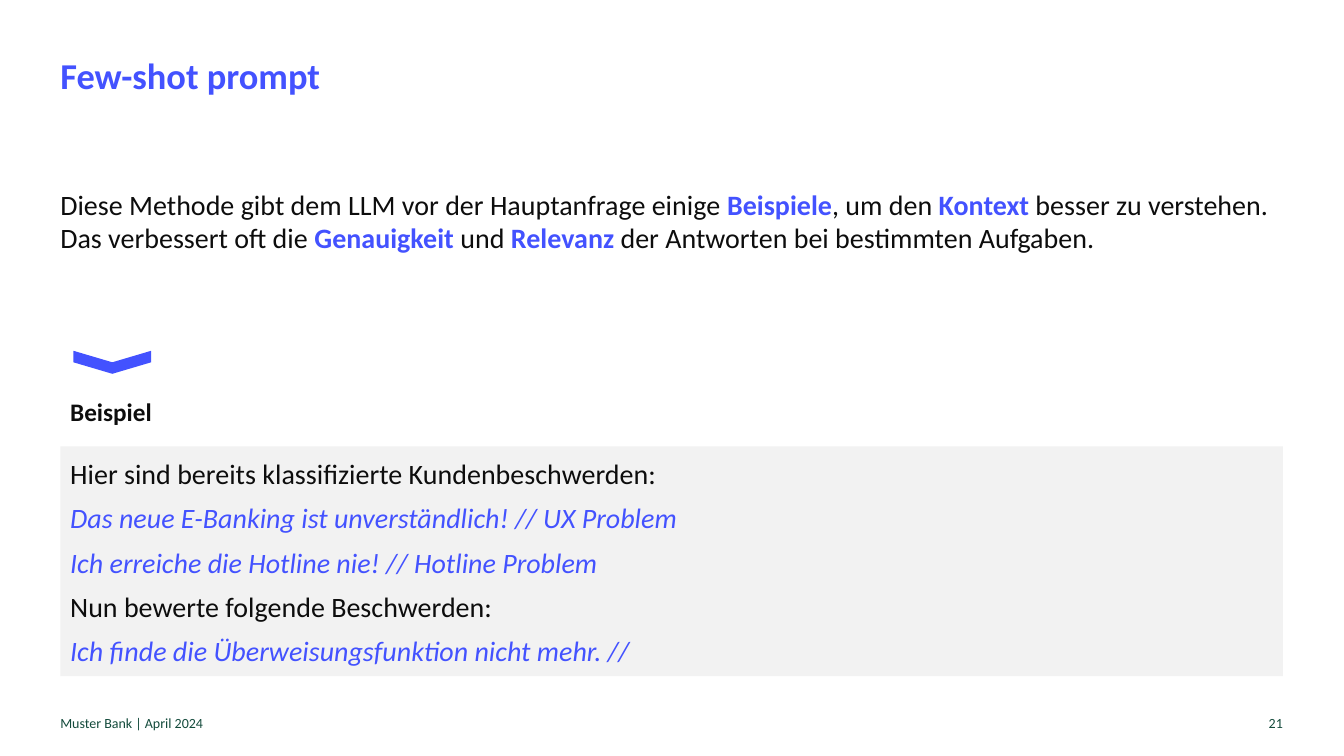
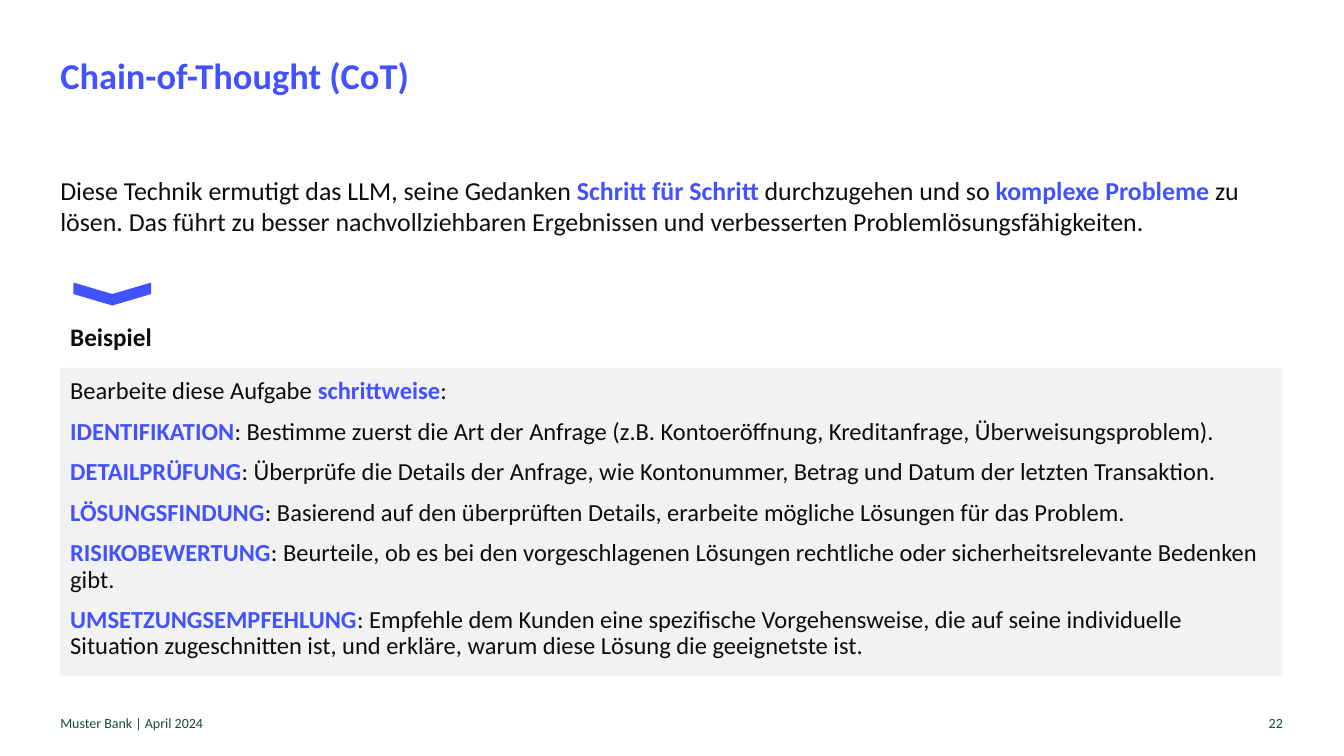
from dataclasses import dataclass

from pptx import Presentation
from pptx.dml.color import RGBColor
from pptx.enum.shapes import MSO_SHAPE as Form
from pptx.enum.text import MSO_ANCHOR as Anchor, MSO_AUTO_SIZE as Fit, PP_ALIGN as Align
from pptx.slide import Slide
from pptx.text.text import TextFrame
from pptx.util import Cm, Pt

BLUE, INK, GREEN, GREY = "4352FF", "0D0D0D", "144B3C", "F2F2F2"
FONT = "Calibri"
LEFT, WIDTH, BASE = 1.52, 30.81, 17.04
FOOTER = "Muster Bank | April 2024"


@dataclass(frozen=True)
class Run:
    text: str
    color: str = INK
    bold: bool = False
    italic: bool = False


Lines = list[list[Run]]


@dataclass(frozen=True)
class Box:
    left: float
    top: float
    width: float
    height: float


@dataclass(frozen=True)
class Style:
    size: float
    pad: bool = False
    lead: float = 1.0
    gap: float = 0
    align: Align = Align.LEFT
    anchor: Anchor = Anchor.TOP


@dataclass(frozen=True)
class Page:
    number: int
    title: str
    intro: list[Run]
    lines: Lines
    intro_top: float
    intro_size: float
    mark_top: float
    label_top: float
    panel_top: float
    text_top: float
    text_size: float


def rgb(color: str) -> RGBColor:
    return RGBColor.from_string(color)


def key(text: str) -> Run:
    return Run(text, BLUE, bold=True)


def quote(text: str) -> list[Run]:
    return [Run(text, BLUE, italic=True)]


def step(name: str, text: str) -> list[Run]:
    return [key(name), Run(f": {text}")]


def place(box: Box) -> tuple[Cm, Cm, Cm, Cm]:
    return Cm(box.left), Cm(box.top), Cm(box.width), Cm(box.height)


def write(frame: TextFrame, lines: Lines, style: Style) -> None:
    frame.word_wrap = True
    frame.auto_size = Fit.NONE
    frame.vertical_anchor = style.anchor
    if not style.pad:
        frame.margin_left = frame.margin_right = 0
        frame.margin_top = frame.margin_bottom = 0
    for index, line in enumerate(lines):
        para = frame.add_paragraph() if index else frame.paragraphs[0]
        para.alignment = style.align
        para.line_spacing = style.lead
        para.space_before = Pt(style.gap if index else 0)
        for item in line:
            run = para.add_run()
            run.text = item.text
            font = run.font
            font.name, font.size = FONT, Pt(style.size)
            font.bold, font.italic = item.bold, item.italic
            font.color.rgb = rgb(item.color)


def add_text(slide: Slide, box: Box, lines: Lines, style: Style) -> None:
    write(slide.shapes.add_textbox(*place(box)).text_frame, lines, style)


def add_form(slide: Slide, form: Form, box: Box, color: str, turn: float = 0) -> None:
    shape = slide.shapes.add_shape(form, *place(box))
    shape.rotation = turn
    shape.shadow.inherit = False
    shape.fill.solid()
    shape.fill.fore_color.rgb = rgb(color)
    shape.line.fill.background()


def add_frame(slide: Slide, page: Page) -> None:
    title = slide.shapes.title
    title.left, title.top, title.width, title.height = place(Box(LEFT, 0, WIDTH, 2.46))
    write(title.text_frame, [[key(page.title)]], Style(26, lead=0.9, anchor=Anchor.BOTTOM))
    add_text(slide, Box(LEFT, 17.99, 19.4, 0.43), [[Run(FOOTER, GREEN)]],
             Style(10, anchor=Anchor.BOTTOM))
    add_text(slide, Box(LEFT + WIDTH - 7.62, 17.99, 7.62, 0.43),
             [[Run(str(page.number), GREEN)]],
             Style(10, align=Align.RIGHT, anchor=Anchor.BOTTOM))


def add_page(deck: Presentation, page: Page) -> None:
    slide = deck.slides.add_slide(deck.slide_layouts[5])
    height = BASE - page.panel_top
    add_form(slide, Form.RECTANGLE, Box(LEFT, page.panel_top, WIDTH, height), GREY)
    add_frame(slide, page)
    add_text(slide, Box(LEFT, page.intro_top, WIDTH, 1.8), [page.intro],
             Style(page.intro_size))
    add_form(slide, Form.CHEVRON, Box(2.54, page.mark_top, 0.58, 1.96), BLUE, 90)
    add_text(slide, Box(LEFT, page.label_top, 9.22, 1.02), [[Run("Beispiel", bold=True)]],
             Style(18, pad=True))
    add_text(slide, Box(LEFT, page.text_top, WIDTH, BASE - page.text_top), page.lines,
             Style(page.text_size, pad=True, lead=0.9, gap=10))


PAGES = [
    Page(
        21, "Few-shot prompt",
        [Run("Diese Methode gibt dem LLM vor der Hauptanfrage einige "), key("Beispiele"),
         Run(", um den "), key("Kontext"),
         Run(" besser zu verstehen. Das verbessert oft die "), key("Genauigkeit"),
         Run(" und "), key("Relevanz"),
         Run(" der Antworten bei bestimmten Aufgaben.")],
        [[Run("Hier sind bereits klassifizierte Kundenbeschwerden:")],
         quote("Das neue E-Banking ist unverständlich! // UX Problem"),
         quote("Ich erreiche die Hotline nie! // Hotline Problem"),
         [Run("Nun bewerte folgende Beschwerden:")],
         quote("Ich finde die Überweisungsfunktion nicht mehr. //")],
        intro_top=4.72, intro_size=20, mark_top=8.15, label_top=9.86,
        panel_top=11.25, text_top=11.48, text_size=20,
    ),
    Page(
        22, "Chain-of-Thought (CoT)",
        [Run("Diese Technik ermutigt das LLM, seine Gedanken "), key("Schritt für Schritt"),
         Run(" durchzugehen und so "), key("komplexe Probleme"),
         Run(" zu lösen. Das führt zu besser nachvollziehbaren Ergebnissen und "
             "verbesserten Problemlösungsfähigkeiten.")],
        [[Run("Bearbeite diese Aufgabe "), key("schrittweise"), Run(":")],
         step("IDENTIFIKATION", "Bestimme zuerst die Art der Anfrage (z.B. Kontoeröffnung, "
              "Kreditanfrage, Überweisungsproblem)."),
         step("DETAILPRÜFUNG", "Überprüfe die Details der Anfrage, wie Kontonummer, "
              "Betrag und Datum der letzten Transaktion."),
         step("LÖSUNGSFINDUNG", "Basierend auf den überprüften Details, erarbeite "
              "mögliche Lösungen für das Problem."),
         step("RISIKOBEWERTUNG", "Beurteile, ob es bei den vorgeschlagenen Lösungen "
              "rechtliche oder sicherheitsrelevante Bedenken gibt."),
         step("UMSETZUNGSEMPFEHLUNG", "Empfehle dem Kunden eine spezifische "
              "Vorgehensweise, die auf seine individuelle Situation zugeschnitten ist, "
              "und erkläre, warum diese Lösung die geeignetste ist.")],
        intro_top=4.39, intro_size=18.5, mark_top=6.43, label_top=7.98,
        panel_top=9.27, text_top=9.42, text_size=17.5,
    ),
]


def main() -> None:
    deck = Presentation()
    deck.slide_width, deck.slide_height = Cm(33.87), Cm(19.05)
    for page in PAGES:
        add_page(deck, page)
    deck.save("out.pptx")


if __name__ == "__main__":
    main()
